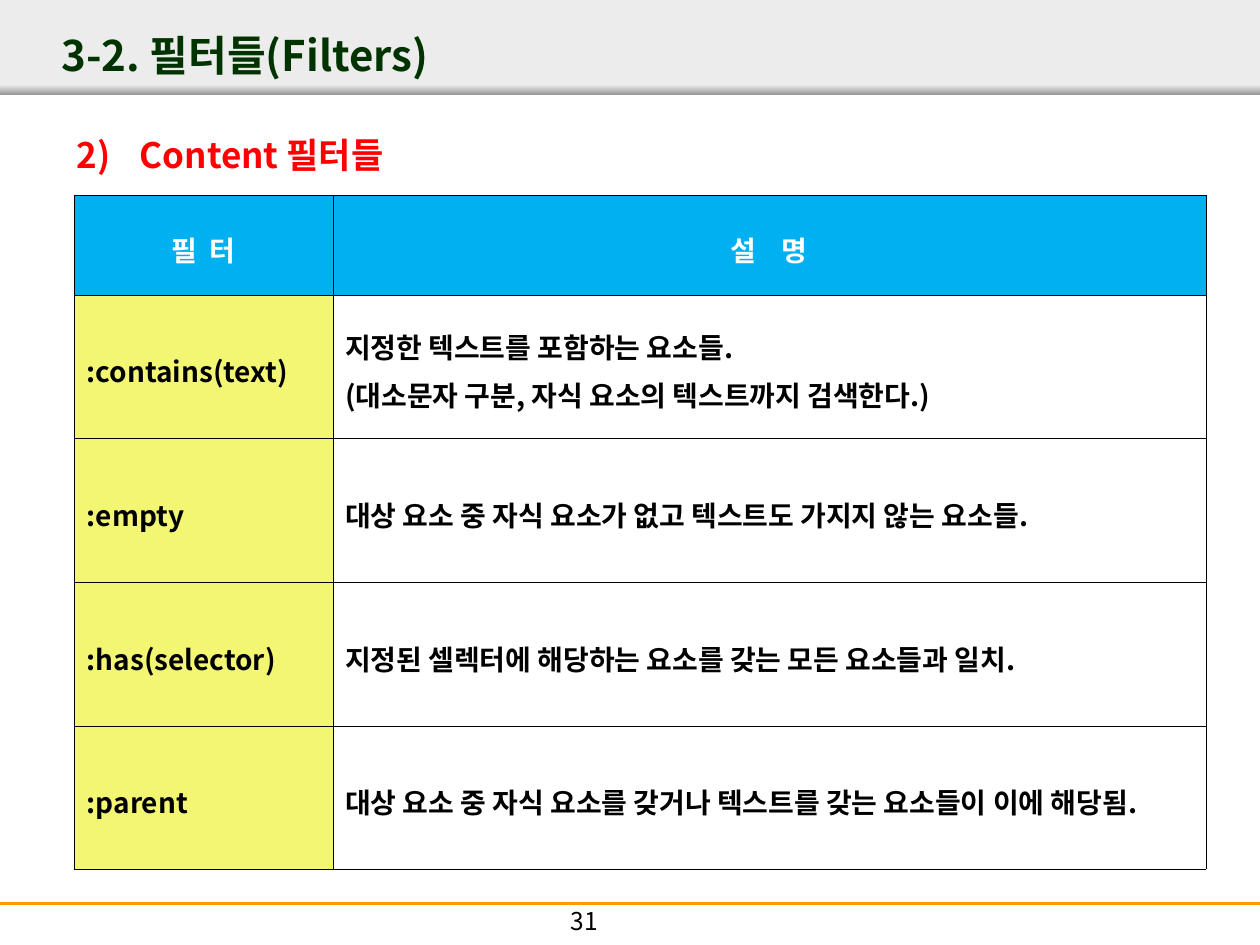
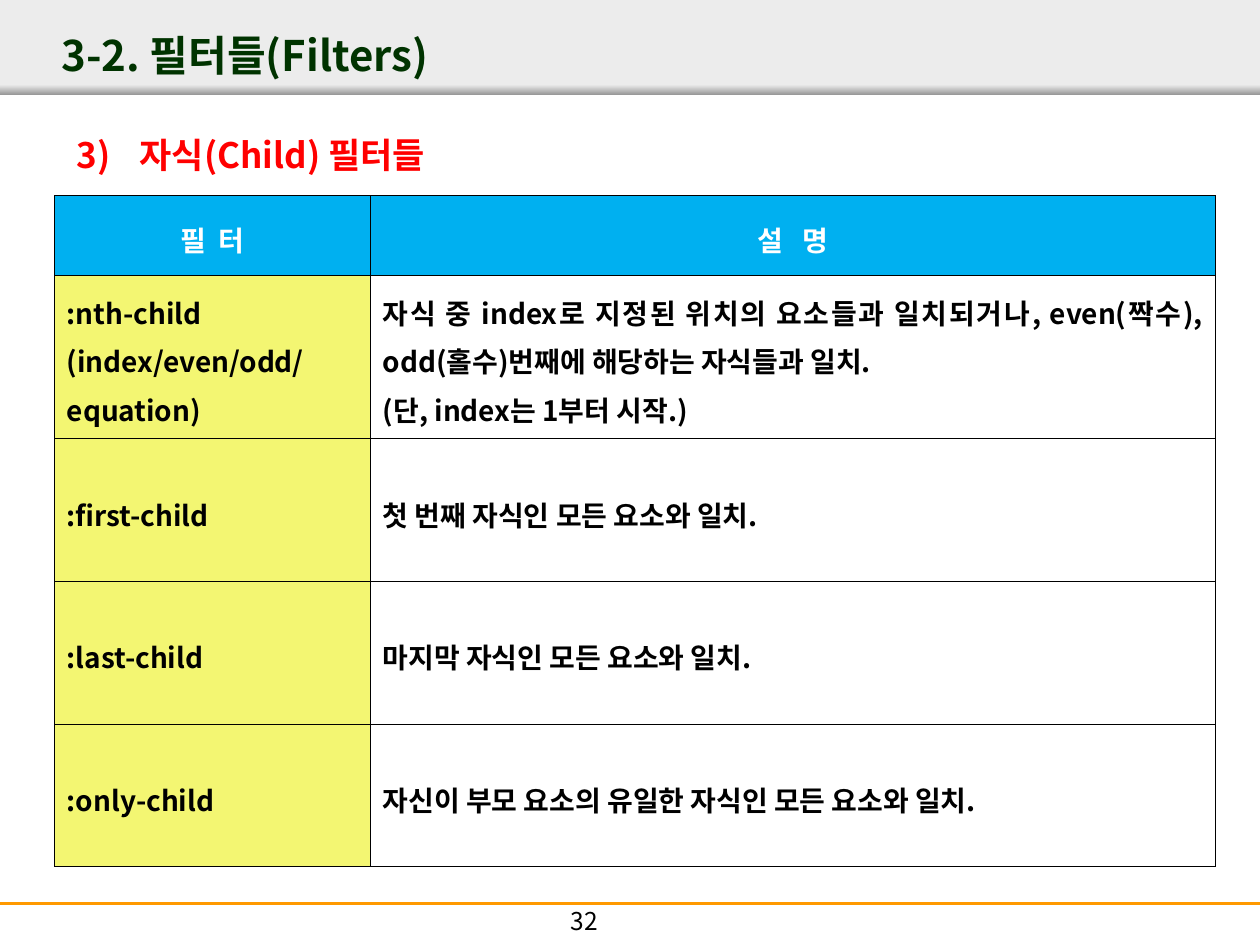
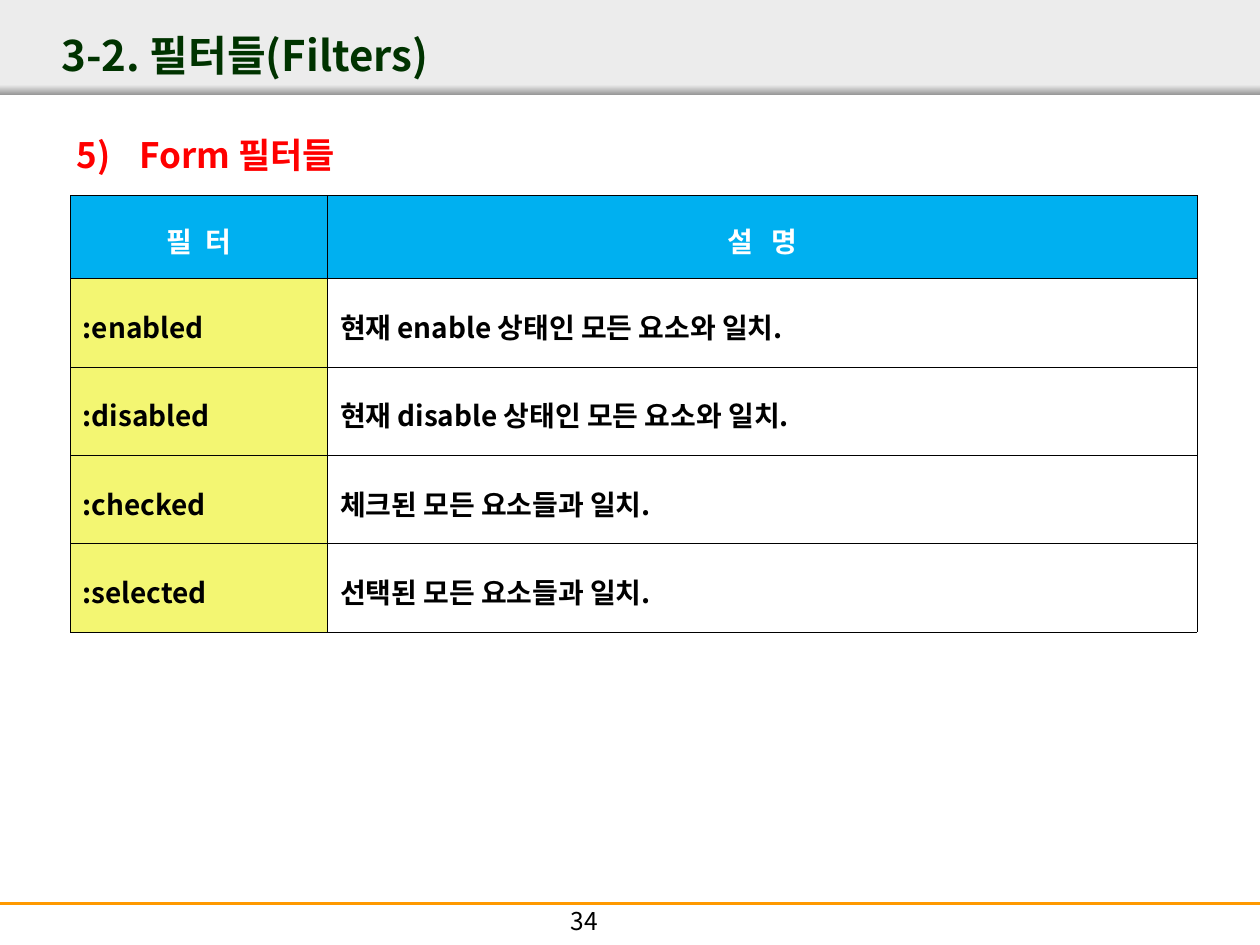
from dataclasses import dataclass

from lxml.etree import SubElement
from pptx import Presentation
from pptx.dml.color import RGBColor
from pptx.enum.shapes import MSO_CONNECTOR, MSO_SHAPE
from pptx.enum.text import MSO_ANCHOR, MSO_AUTO_SIZE, PP_ALIGN
from pptx.oxml.ns import qn
from pptx.util import Pt

# Content: each filter is (selector lines, description lines)
SECTION = "3-2. 필터들(Filters)"
HEADINGS = ("필 터", "설 명")
PAGES = [
    {
        "page": 31, "number": 2, "topic": "Content 필터들",
        "left": 42.5, "columns": (147.6, 498.9),
        "rows": (56.8, 82.1, 82.1, 82.1, 82.1), "heading_gaps": (1.8, 5.4),
        "filters": [
            ([":contains(text)"],
             ["지정한 텍스트를 포함하는 요소들.",
              "(대소문자 구분, 자식 요소의 텍스트까지 검색한다.)"]),
            ([":empty"], ["대상 요소 중 자식 요소가 없고 텍스트도 가지지 않는 요소들."]),
            ([":has(selector)"], ["지정된 셀렉터에 해당하는 요소를 갖는 모든 요소들과 일치."]),
            ([":parent"], ["대상 요소 중 자식 요소를 갖거나 텍스트를 갖는 요소들이 이에 해당됨."]),
        ],
    },
    {
        "page": 32, "number": 3, "topic": "자식(Child) 필터들",
        "left": 31, "columns": (180.6, 483),
        "rows": (45.4, 93.6, 81.5, 81.5, 81.5), "heading_gaps": (1.8, 3.6),
        "filters": [
            ([":nth-child", "(index/even/odd/", "equation)"],
             ["자식 중 index로 지정된 위치의 요소들과 일치되거나, even(짝수), "
              "odd(홀수)번째에 해당하는 자식들과 일치.",
              "(단, index는 1부터 시작.)"]),
            ([":first-child"], ["첫 번째 자식인 모든 요소와 일치."]),
            ([":last-child"], ["마지막 자식인 모든 요소와 일치."]),
            ([":only-child"], ["자신이 부모 요소의 유일한 자식인 모든 요소와 일치."]),
        ],
    },
    {
        "page": 34, "number": 5, "topic": "Form 필터들",
        "left": 40.2, "columns": (146.9, 497),
        "rows": (47.4, 50.5, 50.5, 50.5, 50.5), "heading_gaps": (1.8, 3.6),
        "filters": [
            ([":enabled"], ["현재 enable 상태인 모든 요소와 일치."]),
            ([":disabled"], ["현재 disable 상태인 모든 요소와 일치."]),
            ([":checked"], ["체크된 모든 요소들과 일치."]),
            ([":selected"], ["선택된 모든 요소들과 일치."]),
        ],
    },
]


@dataclass(frozen=True)
class Theme:
    font: str = "Noto Sans CJK KR"
    black: str = "000000"
    white: str = "FFFFFF"
    title: str = "003300"
    topic: str = "FF0000"
    band: str = "ECECEC"
    band_edge: str = "979797"
    rule: str = "FF9900"
    heading_fill: str = "00B0F0"
    selector_fill: str = "F3F672"
    title_size: int = 24
    topic_size: int = 20
    table_size: int = 16
    page_size: int = 14


THEME = Theme()
WIDTH, HEIGHT = 720, 540
TABLE_TOP = 111.6
RULE_TOP = 516.2


# Shared helpers
def apply_format(target, formats):
    for attribute, value in formats.items():
        setattr(target, attribute, value)


def place(part, left, top, width, height):
    apply_format(part, {"left": Pt(left), "top": Pt(top),
                        "width": Pt(width), "height": Pt(height)})


def write(frame, lines, size, color, bold=True, gap=0, **paragraph_format):
    for index, line in enumerate(lines):
        paragraph = frame.paragraphs[0] if index == 0 else frame.add_paragraph()
        apply_format(paragraph, paragraph_format)
        run = paragraph.add_run()
        run.text = line
        apply_format(run.font, {"name": THEME.font, "size": Pt(size), "bold": bold})
        run.font.color.rgb = RGBColor.from_string(color)
        properties = run._r.get_or_add_rPr()
        SubElement(properties, qn("a:ea"), typeface=THEME.font)
        if gap:
            properties.set("spc", str(round(gap * 100)))


def add_text_box(slide, left, top, width, height):
    frame = slide.shapes.add_textbox(Pt(left), Pt(top), Pt(width), Pt(height)).text_frame
    frame.word_wrap = True
    return frame


def add_bar(slide, top, height):
    bar = slide.shapes.add_shape(MSO_SHAPE.RECTANGLE, 0, Pt(top), Pt(WIDTH), Pt(height))
    bar.shadow.inherit = False
    bar.line.fill.background()
    return bar


# Band, footer rule and page number
def add_frame(slide, page):
    band = add_bar(slide, 0, 54)
    band.fill.solid()
    band.fill.fore_color.rgb = RGBColor.from_string(THEME.band)

    edge = add_bar(slide, 48.4, 5.8)
    edge.fill.gradient()
    edge.fill.gradient_angle = 270
    for stop, color in zip(edge.fill.gradient_stops, (THEME.band, THEME.band_edge)):
        stop.color.rgb = RGBColor.from_string(color)

    rule = slide.shapes.add_connector(
        MSO_CONNECTOR.STRAIGHT, 0, Pt(RULE_TOP), Pt(WIDTH), Pt(RULE_TOP))
    rule.line.color.rgb = RGBColor.from_string(THEME.rule)
    rule.line.width = Pt(1.5)
    SubElement(rule.element.spPr, qn("a:effectLst"))

    write(add_text_box(slide, 250, 514, 168, 26), [str(page)], THEME.page_size,
          THEME.black, bold=False, alignment=PP_ALIGN.CENTER)


def add_title(slide):
    title = slide.shapes.title
    slide.shapes.element.append(title.element)  # bring in front of the band
    place(title, 28, 11.5, 604, 39.6)
    apply_format(title.text_frame, {"word_wrap": True, "auto_size": MSO_AUTO_SIZE.NONE,
                                    "vertical_anchor": MSO_ANCHOR.MIDDLE})
    write(title.text_frame, [SECTION], THEME.title_size, THEME.title,
          alignment=PP_ALIGN.LEFT)


# Numbered topic line
def add_topic(slide, number, topic):
    frame = add_text_box(slide, 36.7, 60.5, 647.3, 51)
    properties = frame.paragraphs[0]._p.get_or_add_pPr()
    properties.set("marL", str(Pt(36)))
    properties.set("indent", str(Pt(-36)))
    bullet_color = SubElement(properties, qn("a:buClr"))
    SubElement(bullet_color, qn("a:srgbClr"), val=THEME.topic)
    SubElement(properties, qn("a:buFont"), typeface=THEME.font)
    SubElement(properties, qn("a:buAutoNum"), type="arabicParenR", startAt=str(number))
    write(frame, [topic], THEME.topic_size, THEME.topic,
          alignment=PP_ALIGN.JUSTIFY, line_spacing=1.5)


# Filter table
def fill_cell(cell, lines, fill, color, alignment, gap=0):
    properties = cell._tc.get_or_add_tcPr()
    for side in ("a:lnL", "a:lnR", "a:lnT", "a:lnB"):
        border = SubElement(properties, qn(side), w=str(Pt(0.11)))
        SubElement(SubElement(border, qn("a:solidFill")), qn("a:srgbClr"), val=THEME.black)
    if fill:
        cell.fill.solid()
        cell.fill.fore_color.rgb = RGBColor.from_string(fill)
    else:
        cell.fill.background()
    cell.vertical_anchor = MSO_ANCHOR.MIDDLE
    write(cell.text_frame, lines, THEME.table_size, color, gap=gap,
          alignment=alignment, line_spacing=1.2)


def add_filter_table(slide, content):
    columns, rows = content["columns"], content["rows"]
    table = slide.shapes.add_table(
        len(rows), len(columns), Pt(content["left"]), Pt(TABLE_TOP),
        Pt(sum(columns)), Pt(sum(rows))).table
    apply_format(table, {"first_row": False, "horz_banding": False})
    for column, width in zip(table.columns, columns):
        column.width = Pt(width)
    for row, height in zip(table.rows, rows):
        row.height = Pt(height)

    for index, (heading, gap) in enumerate(zip(HEADINGS, content["heading_gaps"])):
        fill_cell(table.cell(0, index), [heading], THEME.heading_fill, THEME.white,
                  PP_ALIGN.CENTER, gap)
    for row_index, entry in enumerate(content["filters"], start=1):
        for index, (lines, fill) in enumerate(zip(entry, (THEME.selector_fill, None))):
            fill_cell(table.cell(row_index, index), lines, fill, THEME.black,
                      PP_ALIGN.JUSTIFY)


def main():
    deck = Presentation()
    apply_format(deck, {"slide_width": Pt(WIDTH), "slide_height": Pt(HEIGHT)})
    title_only = deck.slide_layouts[5]
    for content in PAGES:
        slide = deck.slides.add_slide(title_only)
        add_frame(slide, content["page"])
        add_title(slide)
        add_filter_table(slide, content)
        add_topic(slide, content["number"], content["topic"])
    deck.save("out.pptx")


if __name__ == "__main__":
    main()
